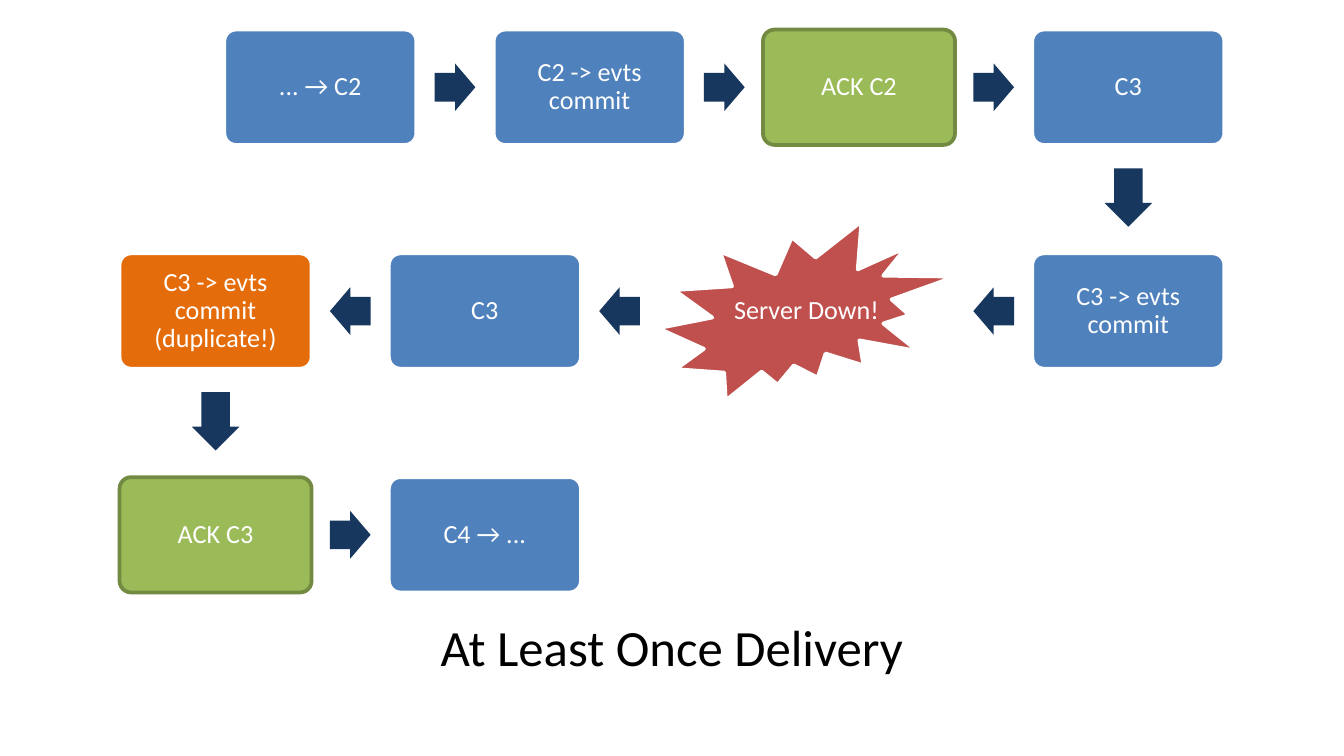
from pptx import Presentation
from pptx.dml.color import RGBColor
from pptx.enum.shapes import MSO_SHAPE
from pptx.enum.text import MSO_ANCHOR, PP_ALIGN
from pptx.util import Cm, Pt

BLUE = RGBColor(0x4F, 0x81, 0xBD)
GREEN = RGBColor(0x9B, 0xBB, 0x59)
OLIVE = RGBColor(0x73, 0x8A, 0x42)
ORANGE = RGBColor(0xE4, 0x6C, 0x0A)
RED = RGBColor(0xC0, 0x50, 0x4D)
NAVY = RGBColor(0x17, 0x37, 0x5E)
WHITE = RGBColor(0xFF, 0xFF, 0xFF)
BLACK = RGBColor(0, 0, 0)

# Grid in centimetres
WIDE, HIGH = 3.63, 2.18
STEP_X, STEP_Y = 5.09, 4.23


def write(shape, text, size=14, color=WHITE, anchor=MSO_ANCHOR.MIDDLE,
          inset=0.15, spacing=0.9):
    frame = shape.text_frame
    frame.word_wrap = True
    frame.vertical_anchor = anchor
    frame.margin_left = frame.margin_right = Cm(inset)
    frame.margin_top = frame.margin_bottom = Cm(inset)
    line = frame.paragraphs[0]
    line.text = text
    line.alignment = PP_ALIGN.CENTER
    line.line_spacing = spacing
    font = line.font
    font.name, font.size = "Calibri", Pt(size)
    font.color.rgb = color


def draw(slide, kind, box, fill, edge=None):
    shape = slide.shapes.add_shape(kind, *map(Cm, box))
    shape.shadow.inherit = False
    shape.fill.solid()
    shape.fill.fore_color.rgb = fill
    if edge is None:
        shape.line.fill.background()
    else:
        shape.line.color.rgb = edge
        shape.line.width = Pt(2)
    return shape


def add_step(slide, x, y, text, fill):
    edge = OLIVE if fill == GREEN else WHITE
    step = draw(slide, MSO_SHAPE.ROUNDED_RECTANGLE, (x, y, WIDE, HIGH), fill, edge)
    step.adjustments[0] = 0.1
    write(step, text)


def add_arrow(slide, x, y, turn=0):
    """Block arrow centred on x, y."""
    long, thick = (1.1 if turn == 90 else 0.77), 0.9
    box = (x - long / 2, y - thick / 2, long, thick)
    arrow = draw(slide, MSO_SHAPE.RIGHT_ARROW, box, NAVY)
    arrow.adjustments[0] = 0.6
    arrow.rotation = turn


def add_burst(slide, x, y, wide, high, text):
    draw(slide, MSO_SHAPE.EXPLOSION2, (x, y, wide, high), RED, WHITE)
    # The label spans the full box, wider than the burst's own text area
    label = slide.shapes.add_textbox(Cm(x), Cm(y), Cm(wide), Cm(high))
    write(label, text)


def add_row(slide, x, y, steps, turn=0):
    """Steps from left to right, with an arrow in each gap."""
    for i, (text, fill) in enumerate(steps):
        left = x + i * STEP_X
        add_step(slide, left, y, text, fill)
        if i:
            add_arrow(slide, left - (STEP_X - WIDE) / 2, y + HIGH / 2, turn)


def add_flow(slide, x, y):
    right = x + 1.98
    last = right + 3 * STEP_X
    middle, bottom = y + STEP_Y, y + 2 * STEP_Y
    gap = (STEP_X - WIDE) / 2

    # Top row, running right
    add_row(slide, right, y, [("... → C2", BLUE), ("C2 -> evts commit", BLUE),
                              ("ACK C2", GREEN), ("C3", BLUE)])

    # Middle row, running left through the crash
    add_step(slide, last, middle, "C3 -> evts commit", BLUE)
    add_arrow(slide, last - gap, middle + HIGH / 2, 180)
    burst = x + 2 * STEP_X
    add_burst(slide, burst, middle + HIGH / 2 - 1.69, 5.61, 3.38, "Server Down!")
    add_arrow(slide, burst - gap, middle + HIGH / 2, 180)
    add_row(slide, x, middle, [("C3 -> evts commit (duplicate!)", ORANGE),
                               ("C3", BLUE)], 180)

    # Bottom row, running right
    add_row(slide, x, bottom, [("ACK C3", GREEN), ("C4 → ...", BLUE)])

    # Turns between rows
    for left, top in ((last, y), (x, middle)):
        add_arrow(slide, left + WIDE / 2, top + (HIGH + STEP_Y) / 2 - 0.03, 90)


def add_title(slide, x, y, wide, high):
    title = slide.shapes.add_textbox(Cm(x), Cm(y), Cm(wide), Cm(high))
    write(title, "At Least Once Delivery", size=27.2, color=BLACK,
          anchor=MSO_ANCHOR.TOP, inset=0.13, spacing=1.0)


def main():
    deck = Presentation()
    deck.slide_width, deck.slide_height = Cm(25.4), Cm(14.29)
    slide = deck.slides.add_slide(deck.slide_layouts[6])
    add_title(slide, 1.27, 11.5, 22.86, 1.27)
    add_flow(slide, 2.26, 0.56)
    deck.save("out.pptx")


if __name__ == "__main__":
    main()
